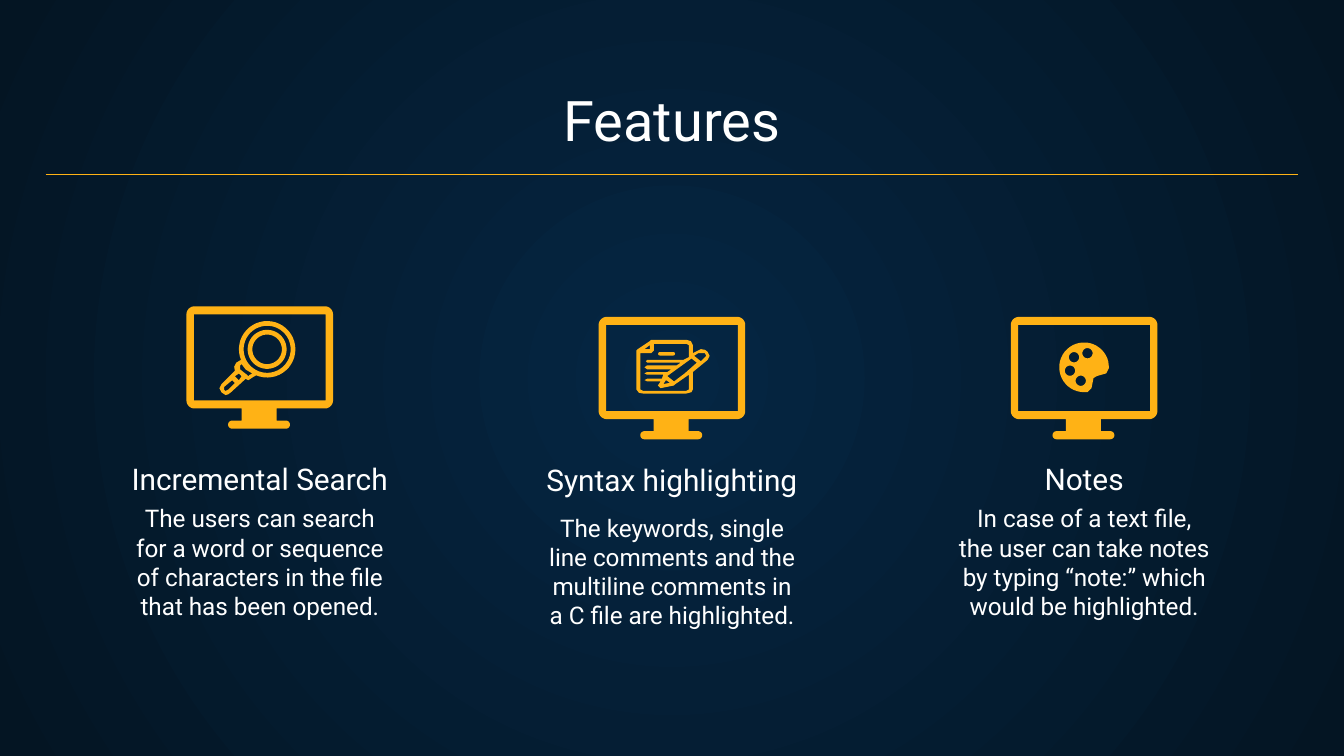
from math import cos, radians, sin

from lxml import etree
from pptx import Presentation
from pptx.dml.color import RGBColor
from pptx.enum.shapes import MSO_CONNECTOR as CONN
from pptx.enum.text import MSO_ANCHOR as ANCHOR, MSO_AUTO_SIZE as AUTO, PP_ALIGN as ALIGN
from pptx.oxml.ns import qn
from pptx.util import Cm, Pt

GOLD = RGBColor(0xFF, 0xB2, 0x15)
WHITE = RGBColor(0xFF, 0xFF, 0xFF)
NAVY = RGBColor(0x05, 0x26, 0x43)
NIGHT = RGBColor(0x04, 0x15, 0x23)
FONT = "Roboto"
SLIDE_W, SLIDE_H = 25.4, 14.29
CARD_W, CARD_PITCH = 5.77, 7.79
CARD_TOP, CARD_H = 5.79, 6.3
ICON_W, ICON_GRID = 2.77, 109


def arc(cx, cy, r, start=0, end=360):
    steps = max(4, round(abs(end - start) / 8))
    angles = [radians(start + (end - start) * i / steps) for i in range(steps + 1)]
    return [(cx + r * cos(a), cy + r * sin(a)) for a in angles]


MONITOR = [
    arc(6, 6, 6, 180, 270) + arc(103, 6, 6, 270, 360) + arc(103, 70, 6, 0, 90)
    + [(67, 76), (67, 85)] + arc(74, 88, 3, -90, 90)
    + arc(34, 88, 3, 90, 270) + [(41, 85), (41, 76)] + arc(6, 70, 6, 90, 180),
    [(5.5, 6), (103.5, 6), (103.5, 70), (5.5, 70)],
]
MAGNIFIER = [
    arc(60, 32, 21, 158, 473)
    + [(49, 53), (46, 55), (44, 54), (33, 64), (31, 65.5), (29, 66), (26, 64),
       (24.5, 61), (26, 58), (36, 48), (35.5, 45), (37, 42)],
    arc(60, 32, 17.5),
    [(41, 43), (44, 47), (49, 50), (47, 51), (46, 52), (45, 51), (40, 47), (40, 44)],
    [(39, 50), (41, 52), (39, 55), (36, 52)],
    [(34, 55), (36, 57), (31, 62), (29, 63), (28, 62), (28, 60)],
]
LENS = [arc(60, 32, 14.5), arc(60, 32, 11)]
PAGE = [
    [(39, 17), (38, 18), (29, 24), (28, 25), (28, 54), (30, 56.5), (33, 57), (65, 57),
     (69, 56), (70, 54), (70, 41), (81, 32), (82.5, 29), (81, 26), (79, 24.5),
     (76, 24), (72, 26), (70, 27), (70, 21), (68.5, 18), (65, 17)],
    [(38, 21), (38, 24), (34, 24)],
    [(76, 27), (79, 27), (80, 29), (78, 31), (76, 33), (71, 29), (74, 27)],
    [(69, 31), (73, 34), (64, 42), (56, 48), (51, 44)],
    [(50, 47), (53, 49), (48, 50)],
    [(65, 20), (67, 21), (67, 30), (63, 32), (36, 32), (35, 33), (36, 34), (61, 34),
     (58, 36), (36, 36), (34, 37.5), (36, 39), (54, 39), (51, 41), (36, 41), (34, 42),
     (36, 43), (48, 43), (47, 46), (36, 46), (34, 47), (36, 48), (46, 48), (44, 51),
     (46, 53), (56, 51), (57, 50), (67, 43), (67, 54), (65, 55), (33, 55), (31, 54),
     (31, 27), (39, 27), (41, 25), (41, 20)],
]
DASH = [arc(45.5, 27.5, 1.25, 90, 270) + arc(55.5, 27.5, 1.25, -90, 90)]
PALETTE = [
    arc(54.5, 37.5, 18.5, 90, 347)
    + [(73, 38), (71, 42), (64, 44), (61.5, 45.5), (61, 48), (60, 53), (57, 56)],
    *[arc(cx, cy, 3.8) for cx, cy in [(57, 27), (47, 30), (44, 40), (52, 47.5)]],
]

CARDS = [
    ("Incremental Search",
     "The users can search for a word or sequence of characters in the file that has been opened.",
     [MAGNIFIER, LENS], (0, 2.82, 3.48)),
    ("Syntax highlighting",
     "The keywords, single line comments and the multiline comments in a C file are highlighted.",
     [DASH, PAGE], (0.2, 2.85, 3.66)),
    ("Notes",
     "In case of a text file, the user can take notes by typing “note:” which would be highlighted.",
     [PALETTE], (0.2, 2.82, 3.48)),
]


def write(sp, text, size=13, color=WHITE, align=ALIGN.CENTER, anchor=ANCHOR.TOP):
    tf = sp.text_frame
    tf.word_wrap = True
    tf.auto_size = AUTO.NONE
    tf.vertical_anchor = anchor
    tf.margin_left = tf.margin_right = tf.margin_top = tf.margin_bottom = Cm(0.25)
    p = tf.paragraphs[0]
    p.alignment = align
    r = p.add_run()
    r.text = text
    r.font.name, r.font.size, r.font.color.rgb = FONT, Pt(size), color


def add_label(s, box, text, **fmt):
    write(s.shapes.add_textbox(*map(Cm, box)), text, **fmt)


def add_icon(s, box, contours):
    x, y, w = box
    unit = w / ICON_GRID
    paths = [[(Cm(x + px * unit), Cm(y + py * unit)) for px, py in c] for c in contours]
    fb = s.shapes.build_freeform(*paths[0][0])
    fb.add_line_segments(paths[0][1:], close=True)
    for path in paths[1:]:
        fb.move_to(*path[0])
        fb.add_line_segments(path[1:], close=True)
    sp = fb.convert_to_shape()
    sp.shadow.inherit = False
    sp.fill.solid()
    sp.fill.fore_color.rgb = GOLD
    sp.line.fill.background()


def add_background(s):
    fill = s.background.fill
    fill.gradient()
    for stop, position, color in zip(fill.gradient_stops, (0, 1), (NAVY, NIGHT)):
        stop.position = position
        stop.color.rgb = color
    grad = s.element.find(".//" + qn("a:gradFill"))
    grad.remove(grad.find(qn("a:lin")))
    circle = etree.SubElement(grad, qn("a:path"), path="circle")
    etree.SubElement(circle, qn("a:fillToRect"), l="50000", t="50000", r="50000", b="50000")


def add_header(s, box):
    x, y, w, h = box
    title = s.shapes.title
    title.left, title.top, title.width, title.height = Cm(x), Cm(y), Cm(w), Cm(1.68)
    write(title, "Features", size=30, anchor=ANCHOR.BOTTOM)
    rule = s.shapes.add_connector(CONN.STRAIGHT, Cm(x), Cm(y + h), Cm(x + w), Cm(y + h))
    rule.line.color.rgb = GOLD
    rule.line.width = Pt(0.75)
    etree.SubElement(rule.element.spPr, qn("a:effectLst"))


def add_card(s, box, heading, body, motif, drops):
    x, y, w, h = box
    icon_dy, heading_dy, body_dy = drops
    inset = 0.25
    add_label(s, (x + inset, y + body_dy, w - 2 * inset, h - body_dy), body)
    add_label(s, (x, y + heading_dy, w, 1.02), heading, size=16, anchor=ANCHOR.BOTTOM)
    for contours in [MONITOR, *motif]:
        add_icon(s, (x + (w - ICON_W) / 2, y + icon_dy, ICON_W), contours)


def main():
    prs = Presentation()
    prs.slide_width, prs.slide_height = Cm(SLIDE_W), Cm(SLIDE_H)
    s = prs.slides.add_slide(prs.slide_layouts.get_by_name("Title Only"))
    add_background(s)
    add_header(s, (0.86, 1.45, SLIDE_W - 2 * 0.86, 1.85))
    for i, card in enumerate(CARDS):
        x = (SLIDE_W - CARD_W) / 2 + (i - 1) * CARD_PITCH
        add_card(s, (x, CARD_TOP, CARD_W, CARD_H), *card)
    prs.save("out.pptx")


if __name__ == "__main__":
    main()
